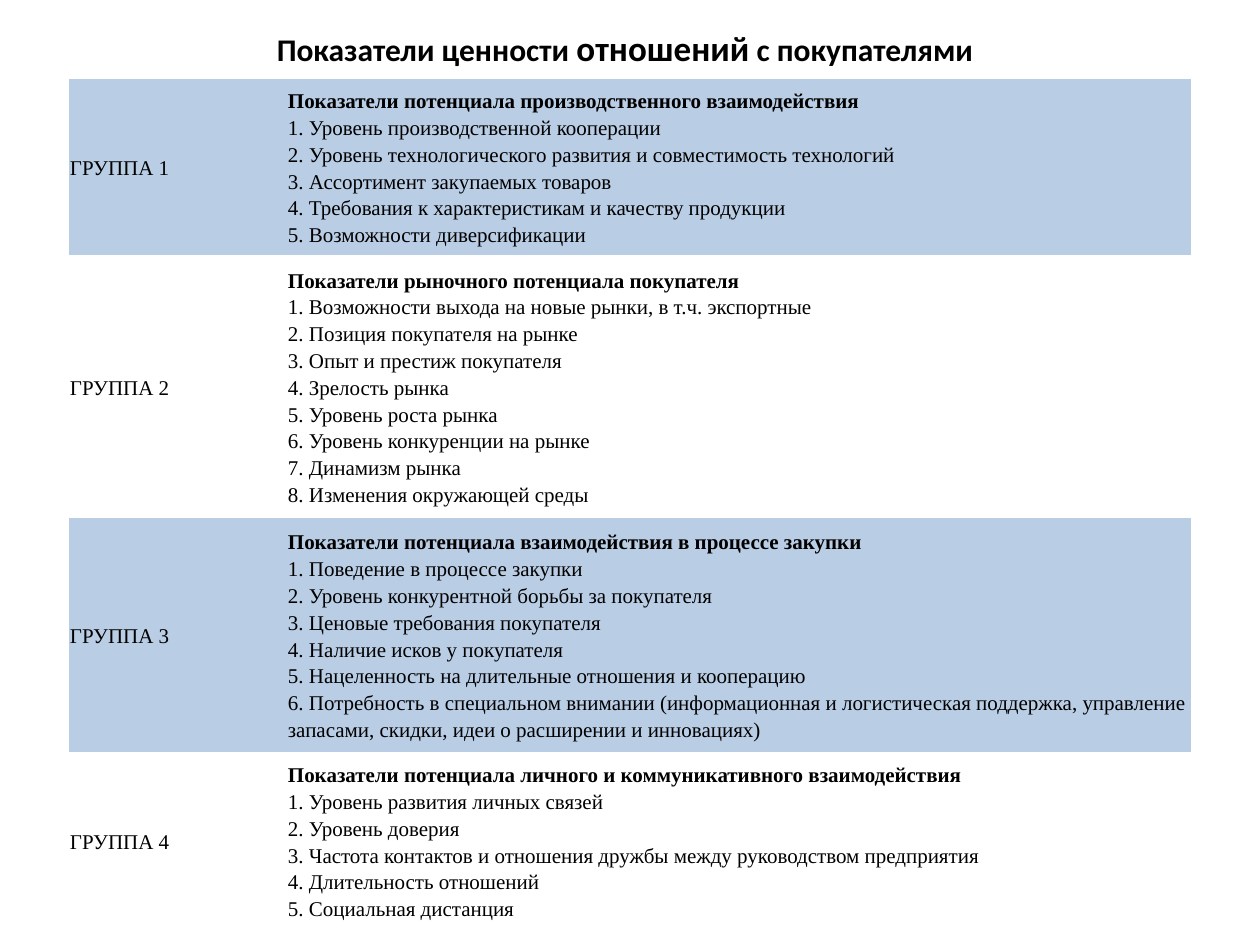
from pptx import Presentation
from pptx.dml.color import RGBColor
from pptx.enum.text import MSO_ANCHOR as ANCHOR, PP_ALIGN as ALIGN
from pptx.util import Pt

PX = 914400 // 126
FILL = "B9CDE5"
NO_GRID = "{2D5ABB26-0587-4C30-8999-92F81FD0307C}"


def color(value):
    return RGBColor.from_string(value)


def add_run(p, text, font, size, bold=False):
    r = p.add_run()
    r.text = text
    r.font.name = font
    r.font.size = Pt(size)
    r.font.bold = bold
    r.font.color.rgb = color("000000")


prs = Presentation()
prs.slide_width, prs.slide_height = 1260 * PX, 945 * PX
s = prs.slides.add_slide(prs.slide_layouts[5])

title = s.shapes.title
title.left, title.top, title.width, title.height = [v * PX for v in (88, 20, 1074, 55)]
tf = title.text_frame
tf.word_wrap = True
tf.vertical_anchor = ANCHOR.TOP
p = tf.paragraphs[0]
p.alignment = ALIGN.CENTER
for text, size in (("Показатели ценности ", 18), ("отношений", 20), (" с покупателями", 18)):
    add_run(p, text, "Calibri", size, True)

groups = [
    ("ГРУППА\u00a01", 176, "Показатели потенциала производственного взаимодействия", [
        "Уровень производственной кооперации",
        "Уровень технологического развития и совместимость технологий",
        "Ассортимент закупаемых товаров",
        "Требования к характеристикам и качеству продукции",
        "Возможности диверсификации",
    ]),
    ("ГРУППА 2", 263, "Показатели рыночного потенциала покупателя", [
        "Возможности выхода на новые рынки, в т.ч. экспортные",
        "Позиция покупателя на рынке",
        "Опыт и престиж покупателя",
        "Зрелость рынка",
        "Уровень роста рынка",
        "Уровень конкуренции на рынке",
        "Динамизм рынка",
        "Изменения окружающей среды",
    ]),
    ("ГРУППА 3", 234, "Показатели потенциала взаимодействия в процессе закупки", [
        "Поведение в процессе закупки",
        "Уровень конкурентной борьбы за покупателя",
        "Ценовые требования покупателя",
        "Наличие исков у покупателя",
        "Нацеленность на длительные отношения и кооперацию",
        "Потребность в специальном внимании (информационная и логистическая "
        "поддержка, управление запасами, скидки, идеи о расширении и инновациях)",
    ]),
    ("ГРУППА 4", 178, "Показатели потенциала личного и коммуникативного взаимодействия", [
        "Уровень развития личных связей",
        "Уровень доверия",
        "Частота контактов и отношения дружбы между руководством предприятия",
        "Длительность отношений",
        "Социальная дистанция",
    ]),
]

height = sum(group[1] for group in groups)
frame = s.shapes.add_table(len(groups), 2, 69 * PX, 79 * PX, 1122 * PX, height * PX)
table = frame.table
table.first_row = table.horz_banding = False
frame._element.xpath(".//a:tableStyleId")[0].text = NO_GRID
for column, width in zip(table.columns, (218, 904)):
    column.width = width * PX

for i, (label, row_height, heading, items) in enumerate(groups):
    table.rows[i].height = row_height * PX
    numbered = [f"{n}. {item}" for n, item in enumerate(items, 1)]
    for j, lines in enumerate(([label], [heading] + numbered)):
        cell = table.cell(i, j)
        cell.vertical_anchor = ANCHOR.MIDDLE
        cell.margin_left = cell.margin_right = PX
        cell.margin_top = cell.margin_bottom = PX
        if i % 2 == 0:
            cell.fill.solid()
            cell.fill.fore_color.rgb = color(FILL)
        else:
            cell.fill.background()
        tf = cell.text_frame
        for k, line in enumerate(lines):
            p = tf.add_paragraph() if k else tf.paragraphs[0]
            p.alignment = ALIGN.LEFT if j else ALIGN.JUSTIFY
            p.line_spacing = 1.15
            add_run(p, line, "Times New Roman", 12, j == 1 and k == 0)

prs.save("out.pptx")
